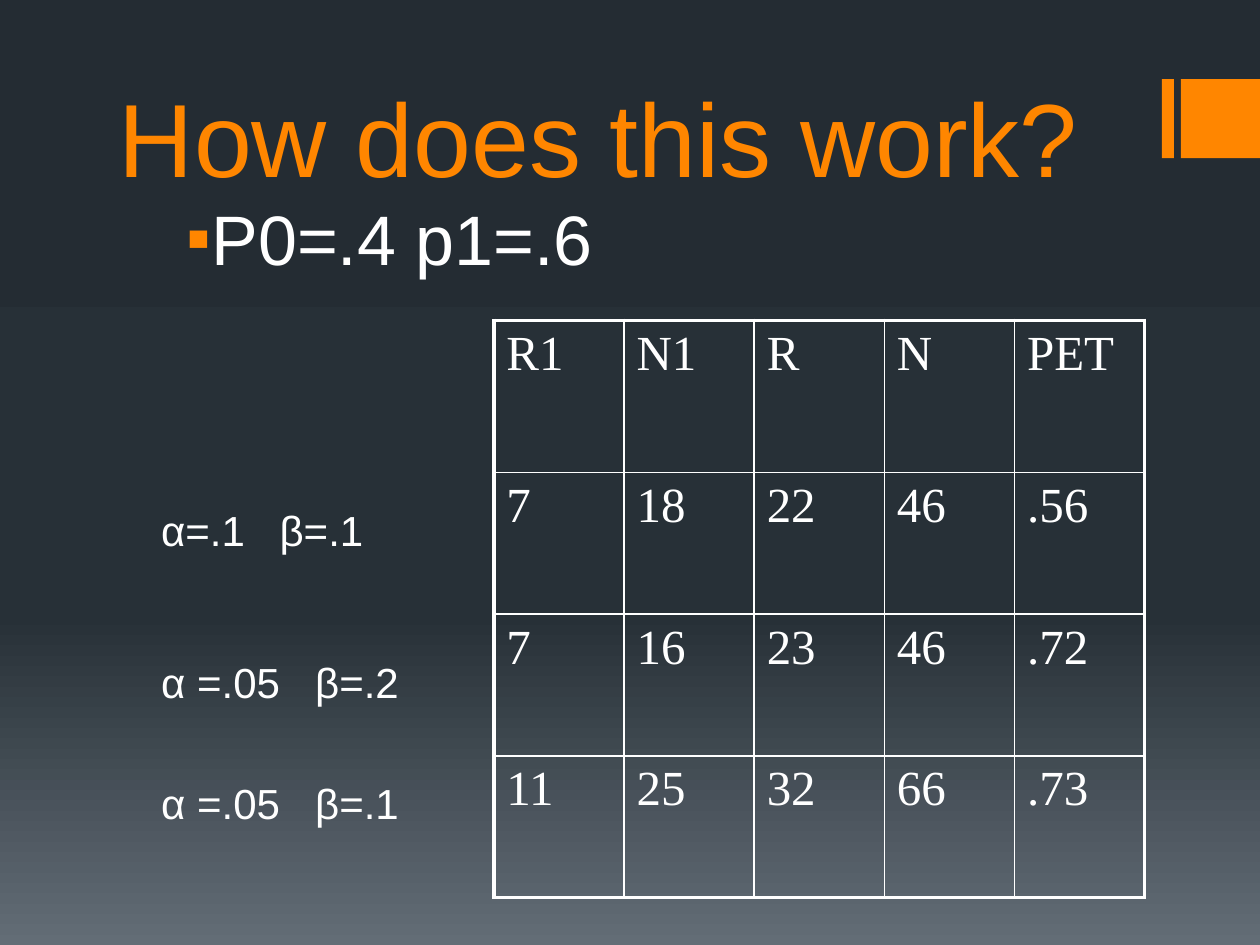
from copy import deepcopy

from lxml.etree import SubElement
from pptx import Presentation
from pptx.dml.color import RGBColor
from pptx.enum.shapes import MSO_SHAPE
from pptx.enum.text import MSO_ANCHOR, MSO_AUTO_SIZE, PP_ALIGN
from pptx.oxml.ns import qn
from pptx.util import Pt

COLORS = {
    "accent": "FF8600",
    "text": "FFFFFF",
    "top": "242C33",
    "middle": "273037",
    "bottom": "636D76",
}
DESIGNS = [
    ["R1", "N1", "R", "N", "PET"],
    ["7", "18", "22", "46", ".56"],
    ["7", "16", "23", "46", ".72"],
    ["11", "25", "32", "66", ".73"],
]
ERROR_RATES = [
    ("α=.1\tβ=.1", 285, 67.7),
    ("α =.05\tβ=.2", 371.5, 88),
    ("α =.05\tβ=.1", 440.6, 88),
]


def rgb(name):
    return RGBColor.from_string(COLORS[name])


def format_text(para, size, color="text", font="Arial"):
    for span in para.runs:
        span.font.size = Pt(size)
        span.font.name = font
        span.font.color.rgb = rgb(color)


def paint_background(page):
    fill = page.background.fill
    fill.gradient()
    fill.gradient_angle = 270
    stop_list = next(page.element.iter(qn("a:gsLst")))
    stop_list.insert(1, deepcopy(stop_list[0]))
    stops = [(0, "top"), (0.65, "middle"), (1, "bottom")]
    for stop, (position, color) in zip(fill.gradient_stops, stops):
        stop.position = position
        stop.color.rgb = rgb(color)


def add_accent_bar(page, left, width):
    bar = page.shapes.add_shape(
        MSO_SHAPE.RECTANGLE, Pt(left), Pt(45.2), Pt(width), Pt(45.2)
    )
    bar.shadow.inherit = False
    bar.fill.solid()
    bar.fill.fore_color.rgb = rgb("accent")
    bar.line.fill.background()


def set_title(page, text):
    title = page.shapes.title
    title.left, title.top, title.width, title.height = Pt(36), Pt(27.2), Pt(612), Pt(90)
    frame = title.text_frame
    frame.text = text
    frame.auto_size = MSO_AUTO_SIZE.NONE
    frame.vertical_anchor = MSO_ANCHOR.BOTTOM
    para = frame.paragraphs[0]
    para.alignment = PP_ALIGN.CENTER
    format_text(para, 59.4, "accent")


def add_text(page, text, left, top, width, height, size):
    box = page.shapes.add_textbox(Pt(left), Pt(top), Pt(width), Pt(height))
    box.text_frame.word_wrap = True
    box.text_frame.text = text
    para = box.text_frame.paragraphs[0]
    format_text(para, size)
    return para


def add_bullet(para):
    para.space_before = Pt(4)
    properties = para._p.get_or_add_pPr()
    properties.set("marL", str(Pt(18)))
    properties.set("indent", str(Pt(-14.4)))
    color = SubElement(properties, qn("a:buClr"))
    SubElement(color, qn("a:srgbClr"), val=COLORS["accent"])
    SubElement(properties, qn("a:buFont"), typeface="Arial")
    SubElement(properties, qn("a:buChar"), char="▪")


def add_tab_stop(para, position):
    tabs = SubElement(para._p.get_or_add_pPr(), qn("a:tabLst"))
    SubElement(tabs, qn("a:tab"), pos=str(Pt(position)), algn="l")


def set_borders(cell, outer_sides):
    properties = cell._tc.get_or_add_tcPr()
    for side, is_outer in outer_sides.items():
        width = Pt(2.25 if is_outer else 1)
        line = SubElement(properties, qn(f"a:ln{side}"), w=str(width))
        fill = SubElement(line, qn("a:solidFill"))
        SubElement(fill, qn("a:srgbClr"), val=COLORS["text"])


def add_design_table(page, rows):
    last_row, last_column = len(rows) - 1, len(rows[0]) - 1
    table = page.shapes.add_table(
        len(rows), len(rows[0]), Pt(282.2), Pt(183), Pt(372), Pt(330)
    ).table
    table.first_row = False
    table.horz_banding = False
    for column in table.columns:
        column.width = Pt(74.4)
    for index, values in enumerate(rows):
        table.rows[index].height = Pt(81 if index else 87)
        for position, value in enumerate(values):
            cell = table.cell(index, position)
            cell.text = value
            format_text(cell.text_frame.paragraphs[0], 28, font="Times New Roman")
            set_borders(cell, {
                "L": position == 0,
                "R": position == last_column,
                "T": index == 0,
                "B": index == last_row,
            })
            cell.fill.background()


def main():
    deck = Presentation()
    deck.slide_width, deck.slide_height = Pt(720), Pt(540)
    page = deck.slides.add_slide(deck.slide_layouts[5])
    paint_background(page)
    add_accent_bar(page, 664, 6.8)
    add_accent_bar(page, 674.8, 45.2)
    set_title(page, "How does this work?")
    add_bullet(add_text(page, "P0=.4 p1=.6", 95.8, 108, 402, 108, 40))
    add_design_table(page, DESIGNS)
    for text, top, tab in ERROR_RATES:
        add_tab_stop(add_text(page, text, 85, top, 154, 36, 24), tab)
    deck.save("out.pptx")


if __name__ == "__main__":
    main()
